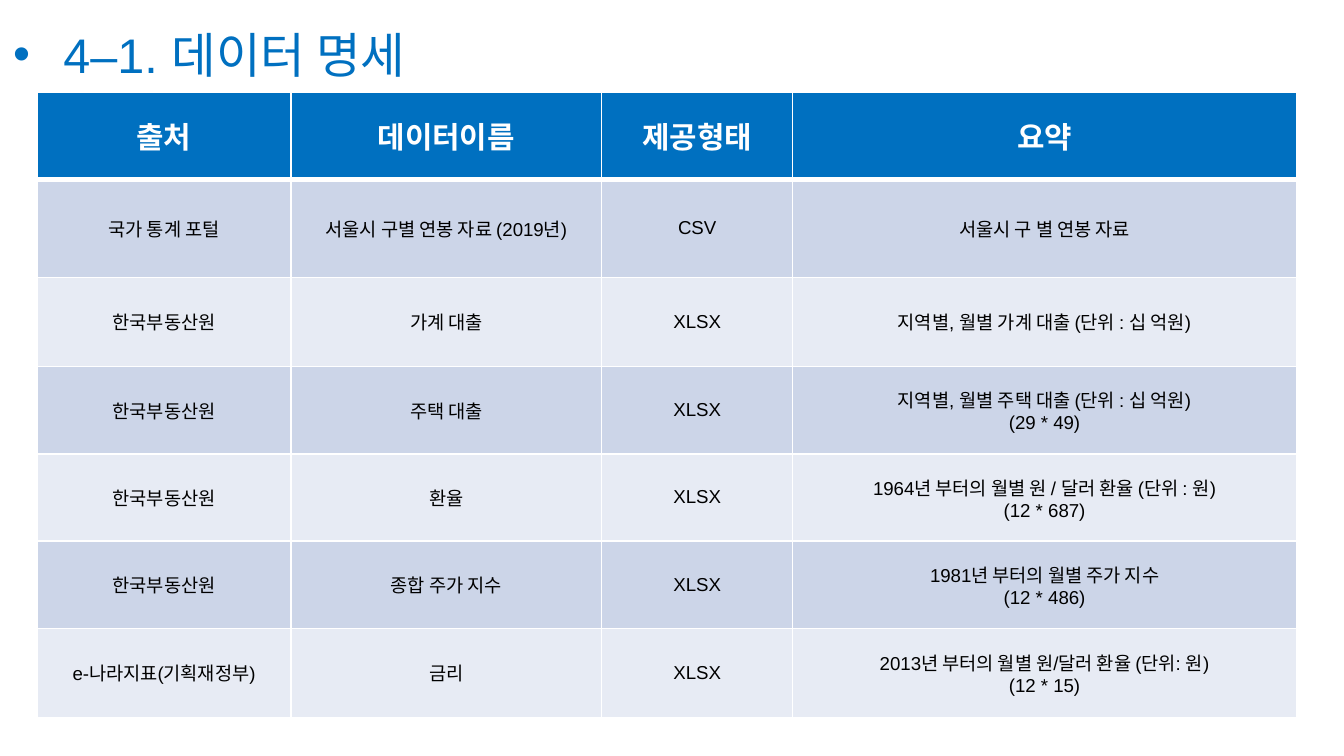
from lxml.etree import SubElement
from pptx import Presentation
from pptx.dml.color import RGBColor
from pptx.enum.text import MSO_ANCHOR as Anchor, PP_ALIGN as Align
from pptx.oxml import parse_xml
from pptx.oxml.ns import nsdecls, qn
from pptx.util import Cm, Pt

# Content
TITLE = "4–1. 데이터 명세"
HEADER = ("출처", "데이터이름", "제공형태", "요약")
DATASETS = [
    ("국가 통계 포털", "서울시 구별 연봉 자료 (2019년)", "CSV", "서울시 구 별 연봉 자료"),
    ("한국부동산원", "가계 대출", "XLSX", "지역별, 월별 가계 대출 (단위 : 십 억원)"),
    ("한국부동산원", "주택 대출", "XLSX",
     "지역별, 월별 주택 대출 (단위 : 십 억원)\n(29 * 49)"),
    ("한국부동산원", "환율", "XLSX",
     "1964년 부터의 월별 원 / 달러 환율 (단위 : 원)\n(12 * 687)"),
    ("한국부동산원", "종합 주가 지수", "XLSX",
     "1981년 부터의 월별 주가 지수\n(12 * 486)"),
    ("e-나라지표(기획재정부)", "금리", "XLSX",
     "2013년 부터의 월별 원/달러 환율 (단위: 원)\n(12 * 15)"),
]

# Style
FONT = "Arial"
BLUE = RGBColor(0x00, 0x70, 0xC0)
WHITE = RGBColor(0xFF, 0xFF, 0xFF)
BLACK = RGBColor(0x00, 0x00, 0x00)
BANDS = (RGBColor(0xCC, 0xD5, 0xE8), RGBColor(0xE7, 0xEB, 0xF4))
COLUMN_WIDTHS = (4.8, 5.87, 3.61, 9.52)
ROW_HEIGHTS = (1.65, 1.85, 1.68, 1.65, 1.65, 1.65, 1.68)


def style_font(paragraph, size, color, bold=False):
    font = paragraph.font
    font.name, font.size, font.bold = FONT, Pt(size), bold
    font.color.rgb = color


def set_borders(cell, top_width, bottom_width):
    """White rules: 1 pt at the sides, the given widths above and below."""
    widths = {"lnL": 1, "lnR": 1, "lnT": top_width, "lnB": bottom_width}
    properties = cell._tc.get_or_add_tcPr()
    for position, (side, width) in enumerate(widths.items()):
        properties.insert(position, parse_xml(
            f'<a:{side} {nsdecls("a")} w="{Pt(width)}"><a:solidFill>'
            f'<a:srgbClr val="{WHITE}"/></a:solidFill></a:{side}>'))


def fill_cell(cell, text, fill, size, color, bold):
    cell.text = text
    cell.vertical_anchor = Anchor.MIDDLE
    cell.fill.solid()
    cell.fill.fore_color.rgb = fill
    for paragraph in cell.text_frame.paragraphs:
        paragraph.alignment = Align.CENTER
        style_font(paragraph, size, color, bold)


prs = Presentation()
prs.slide_width, prs.slide_height = Cm(25.4), Cm(14.28)
slide = prs.slides.add_slide(prs.slide_layouts[6])

# Bulleted title
title = slide.shapes.add_textbox(0, Cm(0.35), prs.slide_width, Cm(1.6)).text_frame
title.word_wrap = True
heading = title.paragraphs[0]
heading.text = TITLE
indents = heading._p.get_or_add_pPr()
indents.set("marL", str(Cm(0.95)))
indents.set("indent", str(-Cm(0.95)))
SubElement(indents, qn("a:buFont"), typeface=FONT)
SubElement(indents, qn("a:buChar"), char="•")
style_font(heading, 26, BLUE)

# Data table
table = slide.shapes.add_table(
    len(ROW_HEIGHTS), len(COLUMN_WIDTHS), Cm(0.7), Cm(1.74),
    Cm(sum(COLUMN_WIDTHS)), Cm(sum(ROW_HEIGHTS))).table
for column, width in zip(table.columns, COLUMN_WIDTHS):
    column.width = Cm(width)
for row, height in zip(table.rows, ROW_HEIGHTS):
    row.height = Cm(height)

for r, texts in enumerate([HEADER] + DATASETS):
    if r == 0:
        look = (BLUE, 16, WHITE, True)
    else:
        look = (BANDS[(r - 1) % 2], 10, BLACK, False)
    # The header and the first data row share a thick rule
    top_width, bottom_width = 3 if r == 1 else 1, 3 if r == 0 else 1
    for c, text in enumerate(texts):
        cell = table.cell(r, c)
        fill_cell(cell, text, *look)
        set_borders(cell, top_width, bottom_width)

prs.save("out.pptx")
